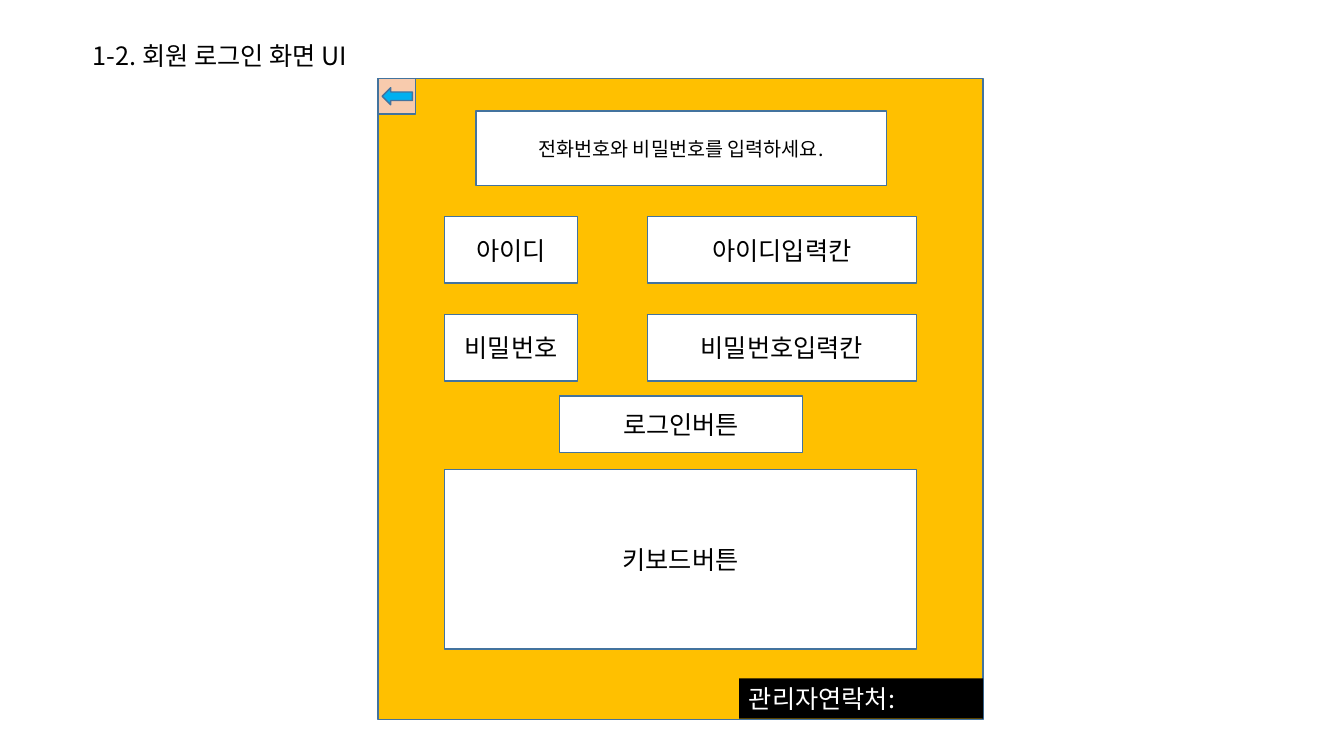
from lxml import etree
from pptx import Presentation
from pptx.dml.color import RGBColor
from pptx.enum.shapes import MSO_SHAPE
from pptx.enum.text import MSO_ANCHOR, MSO_AUTO_SIZE, PP_ALIGN
from pptx.oxml.ns import qn
from pptx.util import Inches, Pt

RECT, LEFT_ARROW = MSO_SHAPE.RECTANGLE, MSO_SHAPE.LEFT_ARROW
TOP, MIDDLE = MSO_ANCHOR.TOP, MSO_ANCHOR.MIDDLE
LEFT, CENTER = PP_ALIGN.LEFT, PP_ALIGN.CENTER
NO_AUTOFIT = MSO_AUTO_SIZE.NONE
FONT = "Noto Sans CJK KR"
COLORS = {
    "screen": "FFC000",
    "outline": "43739E",
    "field": "FFFFFF",
    "back": "F8CBAD",
    "arrow": "00B0F0",
    "black": "000000",
    "white": "FFFFFF",
}


def write(sp, text, size=18, color="black", align=CENTER, anchor=MIDDLE):
    """Put one formatted paragraph into a shape."""
    tf = sp.text_frame
    tf.text = text
    tf.word_wrap = True
    tf.auto_size = NO_AUTOFIT
    tf.vertical_anchor = anchor
    p = tf.paragraphs[0]
    p.alignment = align
    p.font.size = Pt(size)
    p.font.color.rgb = RGBColor.from_string(COLORS[color])
    p.font.name = FONT
    # Korean glyphs take the East Asian typeface
    props = p._p.pPr.find(qn("a:defRPr"))
    etree.SubElement(props, qn("a:ea"), typeface=FONT)


def add_box(box, fill, outlined=True, preset=RECT):
    """Add a flat filled shape at (left, top, width, height) in inches."""
    sp = s.shapes.add_shape(preset, *map(Inches, box))
    sp.shadow.inherit = False
    sp.fill.solid()
    sp.fill.fore_color.rgb = RGBColor.from_string(COLORS[fill])
    if outlined:
        sp.line.color.rgb = RGBColor.from_string(COLORS["outline"])
        sp.line.width = Pt(1)
    else:
        sp.line.fill.background()
    return sp


prs = Presentation()
prs.slide_width, prs.slide_height = Inches(13.33), Inches(7.5)
s = prs.slides.add_slide(prs.slide_layouts[5])

title = s.shapes.title
title.left, title.top = Inches(0.82), Inches(0.35)
title.width, title.height = Inches(3.44), Inches(0.4)
write(title, "1-2. 회원 로그인 화면 UI", align=LEFT, anchor=TOP)

# Login screen
add_box((3.75, 0.78, 6, 6.36), "screen")
write(add_box((4.72, 1.1, 4.07, 0.74), "field"),
      "전화번호와 비밀번호를 입력하세요.", size=14)

# Label and input field for each credential
for row, label in enumerate(["아이디", "비밀번호"]):
    top = 2.15 + row * 0.97
    write(add_box((4.41, top, 1.32, 0.66), "field"), label)
    write(add_box((6.42, top, 2.67, 0.66), "field"), label + "입력칸")

write(add_box((5.55, 3.93, 2.41, 0.56), "field"), "로그인버튼")
write(add_box((4.41, 4.66, 4.68, 1.78), "field"), "키보드버튼")

contact = add_box((7.33, 6.73, 2.42, 0.4), "black", outlined=False)
write(contact, "관리자연락처:", color="white", align=LEFT, anchor=TOP)

# Back button
add_box((3.75, 0.78, 0.37, 0.35), "back")
add_box((3.79, 0.87, 0.3, 0.17), "arrow", preset=LEFT_ARROW)

prs.save("out.pptx")
